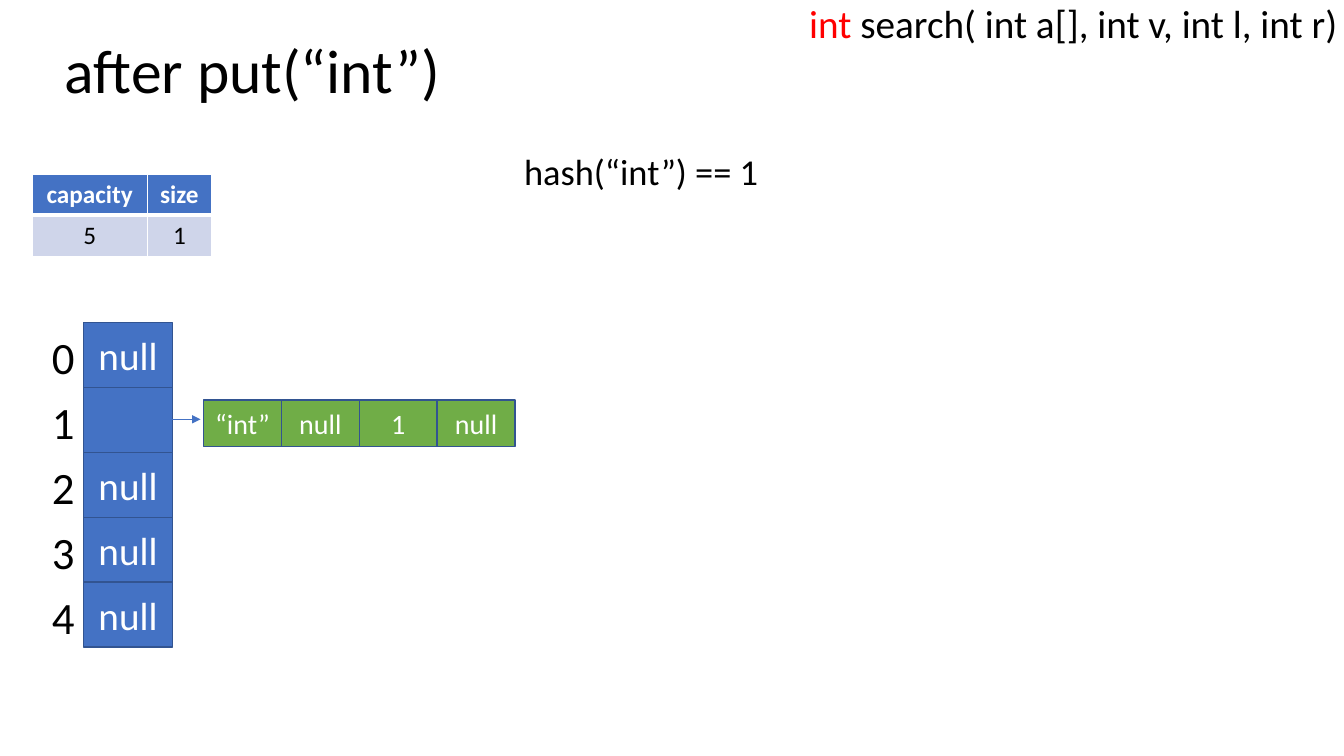
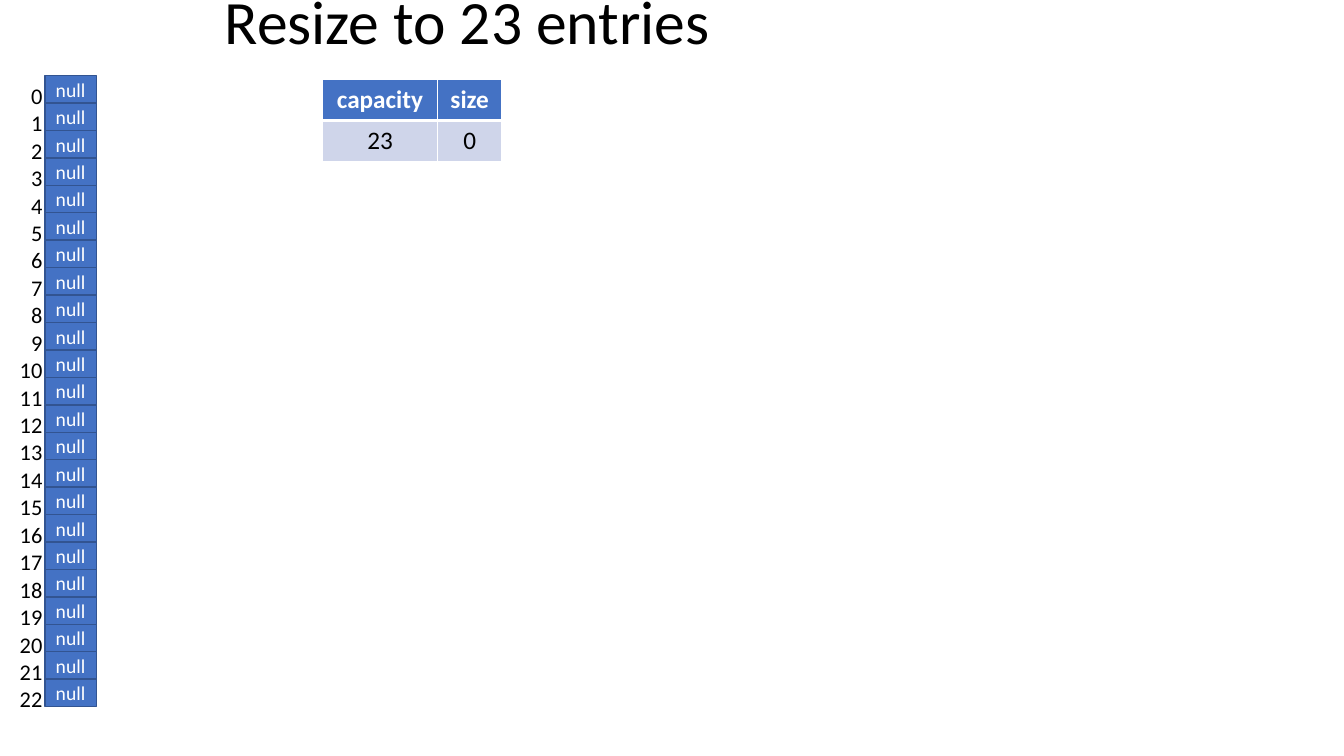
from collections import namedtuple

from lxml import etree
from pptx import Presentation
from pptx.dml.color import RGBColor
from pptx.enum.shapes import MSO_CONNECTOR as Connector, MSO_SHAPE as Preset
from pptx.enum.text import MSO_ANCHOR as Anchor, MSO_AUTO_SIZE as AutoSize, PP_ALIGN as Align
from pptx.oxml.ns import qn
from pptx.util import Inches, Pt

GRID = Inches(0.1)
COLUMNS, ROWS = 133.33, 75
FONT = "Calibri"
COLORS = {
    "black": "000000", "white": "FFFFFF", "red": "FF0000", "blue": "4472C4",
    "green": "70AD47", "outline": "325491", "pale": "CFD5EA",
}
TITLE = {"size": 44, "color": "black", "align": Align.LEFT, "para": {"line_spacing": 0.9}}
NOTE = {"align": Align.LEFT, "para": {"line_spacing": 0.9, "space_before": Pt(10)}}

Box = namedtuple("Box", "left top width height")
Span = namedtuple("Span", "text color")


def units(*lengths):
    """Turn grid columns or rows into slide lengths."""
    return [round(length * GRID) for length in lengths]


def rgb(name):
    """Look up a named colour."""
    return RGBColor.from_string(COLORS[name])


def write(frame, spans, size, align, bold=False, para=None, color="black"):
    """Fill a text frame with one formatted paragraph."""
    paragraph = frame.paragraphs[0]
    paragraph.alignment = align
    for name, value in (para or {}).items():
        setattr(paragraph, name, value)
    if isinstance(spans, str):
        spans = [Span(spans, color)]
    for span in spans:
        run = paragraph.add_run()
        run.text = span.text
        for name, value in {"name": FONT, "size": Pt(size), "bold": bold}.items():
            setattr(run.font, name, value)
        run.font.color.rgb = rgb(span.color)


def set_frame(frame, **values):
    """Set text frame attributes."""
    for name, value in values.items():
        setattr(frame, name, value)


def add_page(deck, title, box):
    """Add a slide with its title placed in the box."""
    page = deck.slides.add_slide(deck.slide_layouts[5])
    holder = page.shapes.title
    for name, value in zip(box._fields, units(*box)):
        setattr(holder, name, value)
    set_frame(holder.text_frame, auto_size=AutoSize.NONE, vertical_anchor=Anchor.MIDDLE)
    write(holder.text_frame, title, **TITLE)
    return page


def add_text(page, box, spans, frame=None, **style):
    """Add a wrapped text box."""
    text_box = page.shapes.add_textbox(*units(*box))
    set_frame(text_box.text_frame, word_wrap=True, **(frame or {}))
    write(text_box.text_frame, spans, **style)


def add_cell(page, box, text, size, fill):
    """Add one outlined storage cell."""
    cell = page.shapes.add_shape(Preset.RECTANGLE, *units(*box))
    cell.shadow.inherit = False
    cell.fill.solid()
    cell.fill.fore_color.rgb = rgb(fill)
    cell.line.color.rgb = rgb("outline")
    cell.line.width = Pt(1)
    set_frame(cell.text_frame, margin_left=0, margin_right=0, vertical_anchor=Anchor.MIDDLE)
    if text:
        write(cell.text_frame, text, size, Align.CENTER, color="white")


def add_buckets(page, box, values, size, label_size, gap, drop):
    """Stack bucket cells in the box with their indexes on the left."""
    step = box.height / len(values)
    label_width = box.left - gap
    frame = {"margin_left": 0, "margin_right": 0, "vertical_anchor": Anchor.MIDDLE}
    for index, value in enumerate(values):
        top = box.top + index * step
        add_cell(page, Box(box.left, top, box.width, step), value, size, "blue")
        add_text(page, Box(0, top + drop, label_width, step), str(index), frame,
                 size=label_size, align=Align.RIGHT)


def add_node(page, box, values):
    """Split the box into the fields of a list node."""
    step = box.width / len(values)
    for index, value in enumerate(values):
        field = Box(box.left + index * step, box.top, step, box.height)
        add_cell(page, field, value, 20, "green")


def add_arrow(page, start, end, row):
    """Draw a horizontal pointer arrow."""
    arrow = page.shapes.add_connector(Connector.STRAIGHT, *units(start, row, end, row))
    arrow.line.color.rgb = rgb("blue")
    arrow.line.width = Pt(0.5)
    etree.SubElement(arrow.line._get_or_add_ln(), qn("a:tailEnd"), type="triangle")
    etree.SubElement(arrow._element.spPr, qn("a:effectLst"))


def add_border(cell, sides):
    """Give a table cell white borders with a width for each side."""
    properties = cell._tc.get_or_add_tcPr()
    for side, width in sides.items():
        line = etree.SubElement(properties, qn(f"a:ln{side}"), w=str(Pt(width)))
        fill = etree.SubElement(line, qn("a:solidFill"))
        etree.SubElement(fill, qn("a:srgbClr"), val=COLORS["white"])


def add_status(page, left, top, capacity, size):
    """Add the table of capacity and size."""
    box = Box(left, top, 17.8, 8.1)
    table = page.shapes.add_table(2, 2, *units(*box)).table
    for column, width in zip(table.columns, units(11.4, 6.4)):
        column.width = width
    styles = [("blue", "white", True), ("pale", "black", False)]
    for row, values in enumerate([("capacity", "size"), (capacity, size)]):
        fill, color, bold = styles[row]
        for column, value in enumerate(values):
            cell = table.cell(row, column)
            add_border(cell, {"L": 1, "R": 1, "T": 1 if row == 0 else 3, "B": 3 if row == 0 else 1})
            cell.fill.solid()
            cell.fill.fore_color.rgb = rgb(fill)
            write(cell.text_frame, value, 18, Align.CENTER, bold, color=color)


def build_put_page(deck):
    """Build the slide showing the table after one insertion."""
    page = add_page(deck, "after put(“int”)", Box(5.4, 0, 115, 14.5))
    add_status(page, 3.2, 17.3, "5", "1")
    buckets = Box(8.3, 32, 8.8, 32.2)
    node = Box(20.2, 39.7, 30.9, 4.6)
    add_buckets(page, buckets, ["null", "", "null", "null", "null"], 28, 32, 0.9, 0.2)
    add_node(page, node, ["“int”", "null", "1", "null"])
    add_arrow(page, buckets.left + buckets.width, node.left - 0.3, 41.6)
    add_text(page, Box(51, 14.8, 31.1, 4.9), "hash(“int”) == 1", size=26, **NOTE)
    signature = [Span("int", "red"), Span(" search( int a[], int v, int l, int r)", "black")]
    add_text(page, Box(79.3, 0, COLUMNS - 79.3, 5.3), signature, {"margin_right": 0},
             size=28, **NOTE)


def build_resize_page(deck):
    """Build the slide showing the enlarged empty table."""
    page = add_page(deck, "Resize to 23 entries", Box(21.3, -1.8, 112, 8.4))
    add_status(page, 32, 7.9, "23", "0")
    add_buckets(page, Box(4.45, 7.5, 5.1, 62.6), ["null"] * 23, 14, 16, 0.25, 0.6)


def main():
    """Build and save the deck."""
    deck = Presentation()
    deck.slide_width, deck.slide_height = units(COLUMNS, ROWS)
    build_put_page(deck)
    build_resize_page(deck)
    deck.save("out.pptx")


if __name__ == "__main__":
    main()
